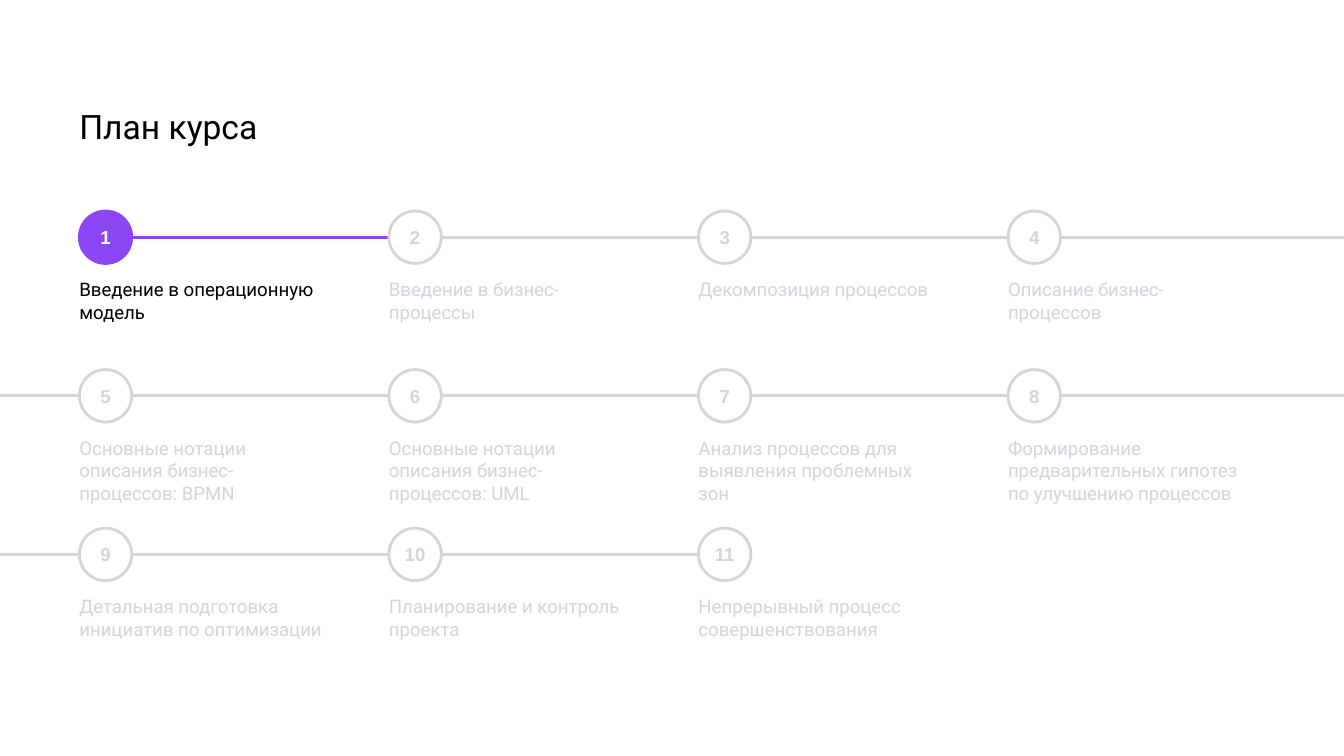
import dataclasses

import lxml.etree
import pptx
import pptx.dml.color
import pptx.enum.shapes
import pptx.enum.text
import pptx.oxml.ns
import pptx.util


@dataclasses.dataclass(frozen=True)
class Theme:
    """Colours, fonts and type sizes of the slide."""
    ink: str = "000000"
    paper: str = "FFFFFF"
    muted: str = "D4D4DD"
    accent: str = "8D46F6"
    body: str = "Roboto"
    badge: str = "Arial"
    title: float = 18
    small: float = 10
    stroke: float = 1.5


@dataclasses.dataclass(frozen=True)
class Grid:
    """Columns and rows of the course plan, in inches."""
    wide: float = 10
    high: float = 10 * 9 / 16
    left: float = 0.59
    top: float = 1.57
    row: float = 1.18
    count: int = 4
    dot: float = 0.39
    label: float = 1.91

    @property
    def inner(self):
        """Return the width between the side margins."""
        return self.wide - 2 * self.left

    @property
    def col(self):
        """Return the step from one column to the next."""
        return (self.inner - self.label) / (self.count - 1)

    def place(self, index):
        """Return the left and top of a step."""
        row, col = divmod(index, self.count)
        return self.left + col * self.col, self.top + row * self.row


THEME = Theme()
GRID = Grid()
ACTIVE = 0
STEPS = [
    "Введение в операционную модель",
    "Введение в бизнес-процессы",
    "Декомпозиция процессов",
    "Описание бизнес-процессов",
    "Основные нотации описания бизнес-процессов: BPMN",
    "Основные нотации описания бизнес-процессов: UML",
    "Анализ процессов для выявления проблемных зон",
    "Формирование предварительных гипотез по улучшению процессов",
    "Детальная подготовка инициатив по оптимизации",
    "Планирование и контроль проекта",
    "Непрерывный процесс совершенствования",
]


def inches(*sizes):
    """Turn numbers into lengths."""
    return [pptx.util.Inches(size) for size in sizes]


def colour(code):
    """Turn a hex code into a colour."""
    return pptx.dml.color.RGBColor.from_string(code)


def write(shape, text, face, size, code, bold=False, pads=(0, 0, 0, 0)):
    """Put styled text into a shape of fixed size."""
    frame = shape.text_frame
    frame.word_wrap = True
    frame.auto_size = pptx.enum.text.MSO_AUTO_SIZE.NONE
    (frame.margin_left, frame.margin_top,
     frame.margin_right, frame.margin_bottom) = inches(*pads)
    frame.text = text
    font = frame.paragraphs[0].runs[0].font
    font.name, font.size, font.bold = face, pptx.util.Pt(size), bold
    font.color.rgb = colour(code)


def add_line(slide, start, end, y, code):
    """Draw a level line between two points."""
    kind = pptx.enum.shapes.MSO_CONNECTOR.STRAIGHT
    line = slide.shapes.add_connector(kind, *inches(start, y, end, y))
    line.line.color.rgb = colour(code)
    line.line.width = pptx.util.Pt(THEME.stroke)
    props = line._element.spPr
    lxml.etree.SubElement(props, pptx.oxml.ns.qn("a:effectLst"))


def add_links(slide, index):
    """Draw the lines that lead into and out of a step."""
    x, y = GRID.place(index)
    mid = y + GRID.dot / 2
    row, col = divmod(index, GRID.count)
    if row and not col:
        add_line(slide, 0, x, mid, THEME.muted)
    if index < len(STEPS) - 1:
        last = col == GRID.count - 1
        end = GRID.wide if last else x + GRID.col
        code = THEME.accent if index == ACTIVE else THEME.muted
        add_line(slide, x + GRID.dot, end, mid, code)


def add_badge(slide, index):
    """Draw the numbered circle of a step."""
    live = index == ACTIVE
    kind = pptx.enum.shapes.MSO_SHAPE.OVAL
    x, y = GRID.place(index)
    badge = slide.shapes.add_shape(kind, *inches(x, y, GRID.dot, GRID.dot))
    badge.shadow.inherit = False
    badge.fill.solid()
    badge.fill.fore_color.rgb = colour(THEME.accent if live else THEME.paper)
    badge.line.color.rgb = colour(THEME.accent if live else THEME.muted)
    badge.line.width = pptx.util.Pt(THEME.stroke)
    write(badge, str(index + 1), THEME.badge, THEME.small,
          THEME.paper if live else THEME.muted, bold=True)
    frame = badge.text_frame
    frame.vertical_anchor = pptx.enum.text.MSO_ANCHOR.MIDDLE
    frame.paragraphs[0].alignment = pptx.enum.text.PP_ALIGN.CENTER


def add_label(slide, index, text):
    """Write the topic under its circle."""
    x, y = GRID.place(index)
    label = slide.shapes.add_textbox(*inches(x, y + 0.4, GRID.label, 0.37))
    code = THEME.ink if index == ACTIVE else THEME.muted
    write(label, text, THEME.body, THEME.small, code, pads=(0, 0.1, 0.1, 0.1))


def add_title(slide, text):
    """Write the heading across the content width."""
    title = slide.shapes.add_textbox(*inches(GRID.left, 0.79, GRID.inner, 0.35))
    write(title, text, THEME.body, THEME.title, THEME.ink)


def main():
    """Build the course plan and save it."""
    deck = pptx.Presentation()
    deck.slide_width, deck.slide_height = inches(GRID.wide, GRID.high)
    slide = deck.slides.add_slide(deck.slide_layouts[6])
    add_title(slide, "План курса")
    for index in range(len(STEPS)):
        add_links(slide, index)
    for index, text in enumerate(STEPS):
        add_badge(slide, index)
        add_label(slide, index, text)
    deck.save("out.pptx")


if __name__ == "__main__":
    main()
